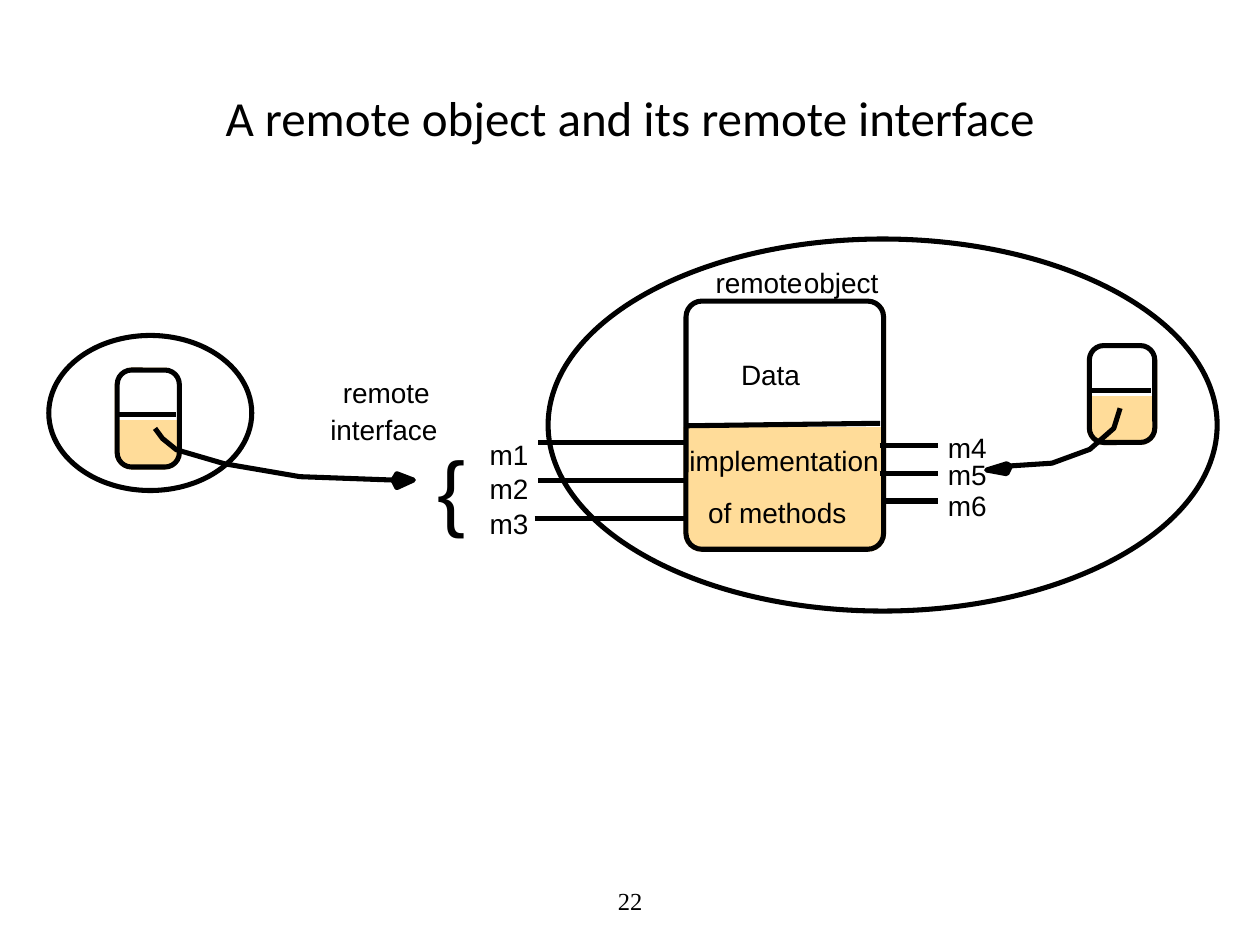
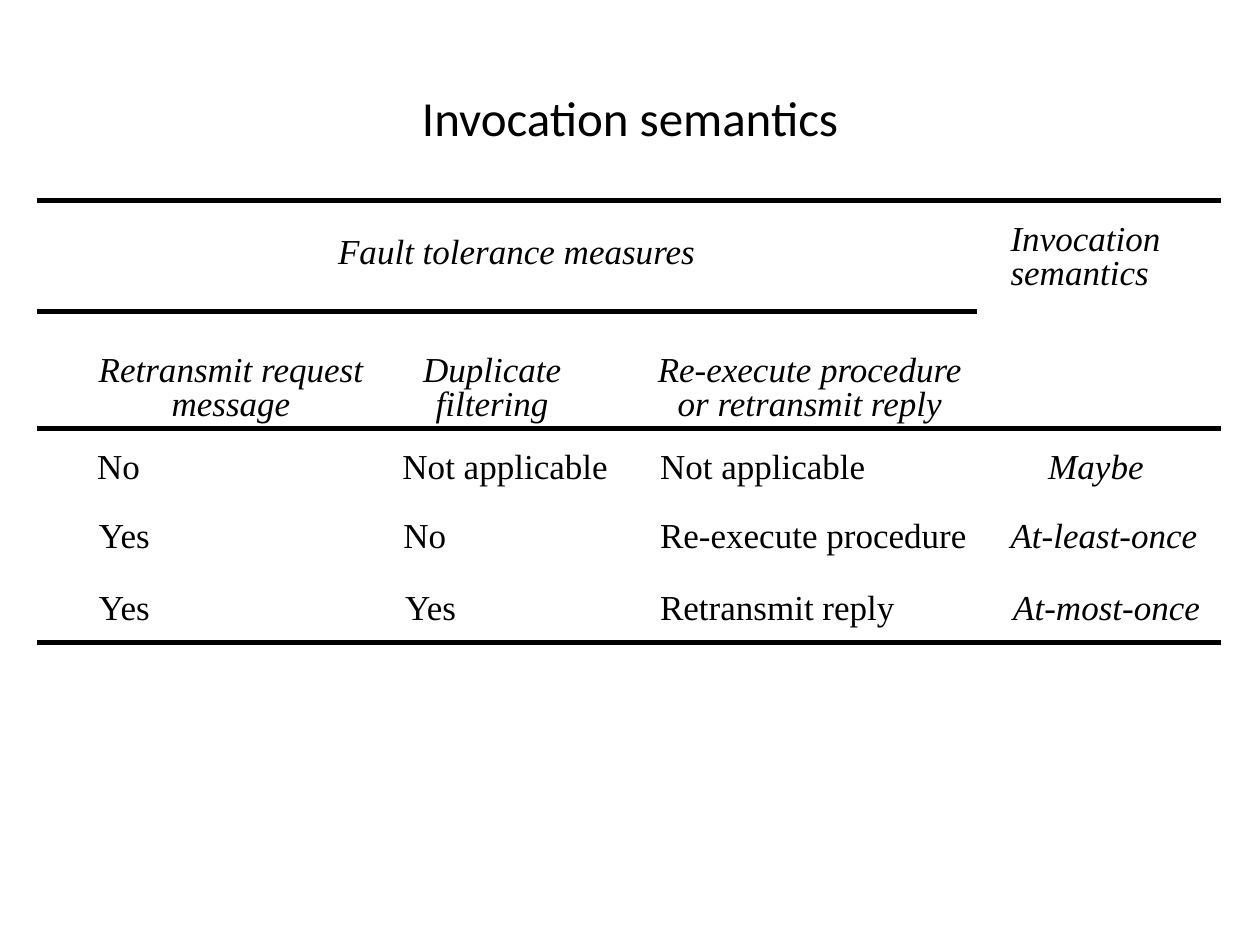
from dataclasses import dataclass

import pptx
import pptx.dml.color
import pptx.enum.shapes
import pptx.enum.text
import pptx.oxml
import pptx.oxml.ns
import pptx.util
from pptx.util import Pt

# Shared style
BLACK = pptx.dml.color.RGBColor(0, 0, 0)
WHITE = pptx.dml.color.RGBColor(0xFF, 0xFF, 0xFF)
ORANGE = pptx.dml.color.RGBColor(0xFF, 0xDC, 0x99)
LINE_WIDTH = Pt(2.88)
SANS, SERIF, TITLE_FONT = "Arial", "Times New Roman", "Calibri"
TITLE_ONLY = 5
Shapes = pptx.enum.shapes.MSO_SHAPE
Anchor = pptx.enum.text.MSO_ANCHOR
Align = pptx.enum.text.PP_ALIGN


@dataclass
class Label:
    text: str
    left: float
    top: float
    width: float
    height: float = 19.4
    size: float = 16
    font: str = SANS


@dataclass
class ObjectCard:
    """A rounded object: white data above, orange methods below."""
    left: float
    top: float
    width: float
    height: float
    data_height: float
    rounding: float
    data_shift: float = 0
    divider_rise: float = 0


@dataclass
class MethodGroup:
    names: tuple
    label_left: float
    label_tops: tuple
    line_starts: tuple
    line_end: float
    line_top: float
    line_step: float


@dataclass
class Column:
    width: float
    heading: tuple
    heading_margins: tuple
    entries: tuple
    entry_margins: tuple
    is_result: bool = False


def add_run(paragraph, text: str, size: float, font: str, italic: bool = False) -> None:
    run = paragraph.add_run()
    run.text = text
    run.font.name = font
    run.font.size = Pt(size)
    run.font.italic = italic
    run.font.color.rgb = BLACK


def add_titled_slide(presentation, title: str):
    slide = presentation.slides.add_slide(presentation.slide_layouts[TITLE_ONLY])
    shape = slide.shapes.title
    shape.left, shape.top, shape.width, shape.height = Pt(36), Pt(21.6), Pt(648), Pt(90)
    shape.text_frame.vertical_anchor = Anchor.MIDDLE
    paragraph = shape.text_frame.paragraphs[0]
    paragraph.alignment = Align.CENTER
    add_run(paragraph, title, 28, TITLE_FONT)
    return slide


def add_label(slide, label: Label) -> None:
    box = slide.shapes.add_textbox(
        Pt(label.left), Pt(label.top), Pt(label.width), Pt(label.height))
    frame = box.text_frame
    frame.margin_left = frame.margin_right = frame.margin_top = frame.margin_bottom = 0
    frame.word_wrap = False
    paragraph = frame.paragraphs[0]
    paragraph.alignment = Align.CENTER
    add_run(paragraph, label.text, label.size, label.font)


def style_shape(shape, fill=None, line=BLACK) -> None:
    shape.shadow.inherit = False
    if fill is None:
        shape.fill.background()
    else:
        shape.fill.solid()
        shape.fill.fore_color.rgb = fill
    shape.line.color.rgb = line
    shape.line.width = LINE_WIDTH


def add_outline(slide, kind, left: float, top: float, width: float, height: float,
                fill=None, line=BLACK, rounding: float = 0) -> None:
    shape = slide.shapes.add_shape(kind, Pt(left), Pt(top), Pt(width), Pt(height))
    if rounding:
        shape.adjustments[0] = rounding
    style_shape(shape, fill, line)


def add_line(slide, start: tuple, end: tuple) -> None:
    connector = slide.shapes.add_connector(
        pptx.enum.shapes.MSO_CONNECTOR.STRAIGHT, *(Pt(value) for value in start + end))
    connector.line.color.rgb = BLACK
    connector.line.width = LINE_WIDTH
    connector._element.spPr.append(pptx.oxml.parse_xml(
        f'<a:effectLst {pptx.oxml.ns.nsdecls("a")}/>'))


def add_freeform(slide, points: list, closed: bool = False) -> None:
    corners = [(Pt(x), Pt(y)) for x, y in points]
    builder = slide.shapes.build_freeform(*corners[0])
    builder.add_line_segments(corners[1:], close=closed)
    style_shape(builder.convert_to_shape(), BLACK if closed else None)


def add_card(slide, card: ObjectCard) -> None:
    place = (card.left, card.top, card.width)
    add_outline(slide, Shapes.ROUNDED_RECTANGLE, *place, card.height,
                ORANGE, ORANGE, card.rounding)
    add_outline(slide, Shapes.RECTANGLE, card.left - card.data_shift,
                card.top - card.data_shift, card.width, card.data_height + 1.5,
                WHITE, WHITE)
    add_outline(slide, Shapes.ROUNDED_RECTANGLE, *place, card.height,
                rounding=card.rounding)
    divider = card.top + card.data_height
    add_line(slide, (card.left, divider),
             (card.left + card.width - 2, divider - card.divider_rise))


def add_methods(slide, group: MethodGroup) -> None:
    rows = zip(group.names, group.label_tops, group.line_starts)
    for index, (name, top, start) in enumerate(rows):
        y = group.line_top + index * group.line_step
        add_line(slide, (start, y), (group.line_end, y))
        add_label(slide, Label(name, group.label_left, top, 22.3))


# Remote object slide
CARDS = [
    ObjectCard(622.5, 197.5, 37.4, 55.4, 25.8, 0.22),
    ObjectCard(67, 211.5, 35.5, 55.4, 25.4, 0.23),
    ObjectCard(392, 172.1, 112.9, 141.8, 71.2, 0.08, 2, 1.4),
]
PROCESSES = [(313.2, 136.6, 382.3, 212.6), (27.9, 191.7, 116, 88.6)]
METHOD_GROUPS = [
    MethodGroup(("m1", "m2", "m3"), 279.7, (249.8, 269.3, 289.4),
                (307.5, 307.5, 305.5), 392.4, 252.7, 21.7),
    MethodGroup(("m4", "m5", "m6"), 541.6, (245.8, 261.4, 279.4),
                (502.6, 502.6, 505), 536, 254.7, 15.8),
]
LABELS = [
    Label("remote", 195.6, 214.6, 50.4),
    Label("interface", 188.4, 235.8, 61.9),
    Label("remote", 408.6, 151.9, 50.4),
    Label("object", 459, 151.9, 43.2),
    Label("Data", 423.4, 204.5, 33.8),
    Label("implementation", 393.4, 253.7, 109.4),
    Label("of methods", 404.2, 283, 79.9),
    Label("{", 249.8, 249.8, 15.8, 58.3, 48),
    Label("22", 246, 506.5, 228.2, 16.8, 14, SERIF),
]
ARROW_HEADS = [
    [(224.6, 274.3), (226.8, 270.7), (236.2, 274.3), (226.8, 278.6)],
    [(577.4, 266.4), (575.3, 270.7), (563.8, 268.6), (575.3, 265)],
]
ARROW_SHAFTS = [
    [(224.6, 274.3), (171.4, 272.4), (128.2, 265), (100.8, 257), (92.9, 250.6),
     (88.6, 244.8)],
    [(640.1, 233.3), (636.5, 244.8), (622.8, 256.8), (601.2, 264.7), (575.3, 266.4)],
]


def build_remote_object_slide(presentation) -> None:
    slide = add_titled_slide(presentation, "A remote object and its remote interface")
    for card in CARDS:
        add_card(slide, card)
    for process in PROCESSES:
        add_outline(slide, Shapes.OVAL, *process)
    for group in METHOD_GROUPS:
        add_methods(slide, group)
    for points in ARROW_HEADS:
        add_freeform(slide, points, closed=True)
    for points in ARROW_SHAFTS:
        add_freeform(slide, points)
    for label in LABELS:
        add_label(slide, label)


# Invocation semantics slide
COLUMNS = [
    Column(202, ("Retransmit request", "message"), (20, 0),
           ("No", "Yes", "Yes"), (34.5, 35.5, 35.5)),
    Column(144, ("Duplicate", "filtering"), (0, 27.5),
           ("Not applicable", "No", "Yes"), (7, 7.5, 8.5)),
    Column(191, ("Re-execute procedure", "or retransmit reply"), (0.5, 0),
           ("Not applicable", "Re-execute procedure", "Retransmit reply"),
           (10.2, 10.2, 10.2)),
    Column(140, ("Invocation", "semantics"), (19.5, 0),
           ("Maybe", "At-least-once", "At-most-once"), (41, 19.5, 21), True),
]
TABLE_LEFT, TABLE_TOP = 21, 114.5
ROW_HEIGHTS = [63.3, 67, 40.8, 40.8, 40.8]
ENTRY_TOP_MARGINS = (4.6, 1.2, 2.4)
HEADING_SPACING = Pt(19.5)


def fill_cell(cell, lines: tuple, alignment, anchor, margins: tuple, italic: bool) -> None:
    """Write the lines; margins are left, top, right and bottom."""
    cell.margin_left, cell.margin_top, cell.margin_right, cell.margin_bottom = (
        Pt(margin) for margin in margins)
    cell.vertical_anchor = anchor
    for index, line in enumerate(lines):
        frame = cell.text_frame
        paragraph = frame.add_paragraph() if index else frame.paragraphs[0]
        paragraph.alignment = alignment
        if len(lines) > 1:
            paragraph.line_spacing = HEADING_SPACING
        add_run(paragraph, line, 20, SERIF, italic)


def build_semantics_slide(presentation) -> None:
    slide = add_titled_slide(presentation, "Invocation semantics")
    total_width = sum(column.width for column in COLUMNS)
    table = slide.shapes.add_table(
        len(ROW_HEIGHTS), len(COLUMNS), Pt(TABLE_LEFT), Pt(TABLE_TOP),
        Pt(total_width), Pt(sum(ROW_HEIGHTS))).table
    table.first_row = table.horz_banding = False
    for row, height in zip(table.rows, ROW_HEIGHTS):
        row.height = Pt(height)

    # Columns with their headings and entries
    for index, column in enumerate(COLUMNS):
        table.columns[index].width = Pt(column.width)
        for row in range(len(ROW_HEIGHTS)):
            table.cell(row, index).fill.background()
        left, right = column.heading_margins
        if column.is_result:
            fill_cell(table.cell(0, index), column.heading, Align.LEFT, Anchor.TOP,
                      (left, 14.2, right, 0), True)
        else:
            fill_cell(table.cell(1, index), column.heading, Align.CENTER, Anchor.BOTTOM,
                      (left, 0, right, 2.6), True)
        rows = zip(column.entries, column.entry_margins, ENTRY_TOP_MARGINS)
        for row, (entry, left, top) in enumerate(rows, start=2):
            fill_cell(table.cell(row, index), (entry,), Align.LEFT, Anchor.MIDDLE,
                      (left, top, 0, 0), column.is_result)

    # Heading across the three measures
    table.cell(0, 0).merge(table.cell(0, 2))
    fill_cell(table.cell(0, 0), ("Fault tolerance measures",), Align.CENTER,
              Anchor.MIDDLE, (11.5, 0, 0, 4), True)

    # Rules above, between and below the rows; the second spans the measures only
    measures_width = total_width - COLUMNS[-1].width
    for rows_above, width in ((0, total_width), (1, measures_width),
                              (2, total_width), (5, total_width)):
        y = TABLE_TOP + sum(ROW_HEIGHTS[:rows_above])
        add_line(slide, (TABLE_LEFT, y), (TABLE_LEFT + width, y))


def main() -> None:
    presentation = pptx.Presentation()
    presentation.slide_width, presentation.slide_height = Pt(720), Pt(540)
    build_remote_object_slide(presentation)
    build_semantics_slide(presentation)
    presentation.save("out.pptx")


if __name__ == "__main__":
    main()
